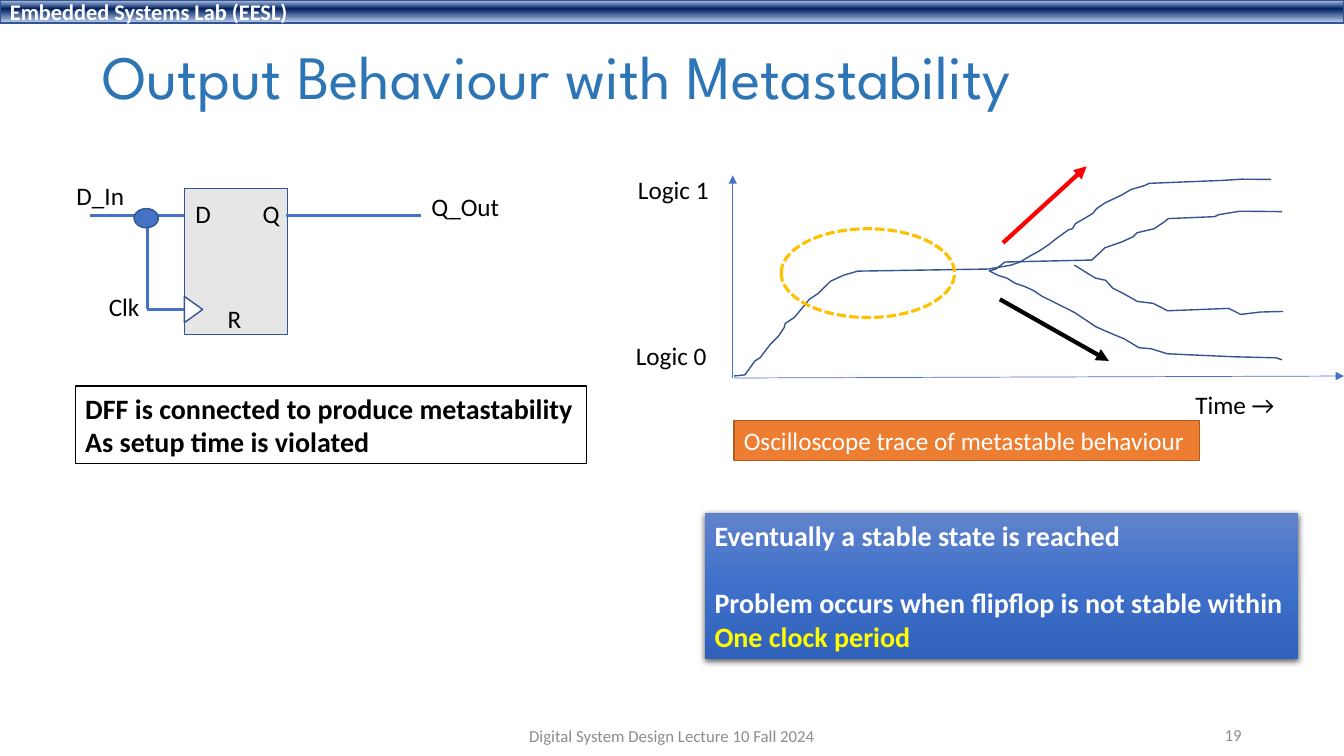
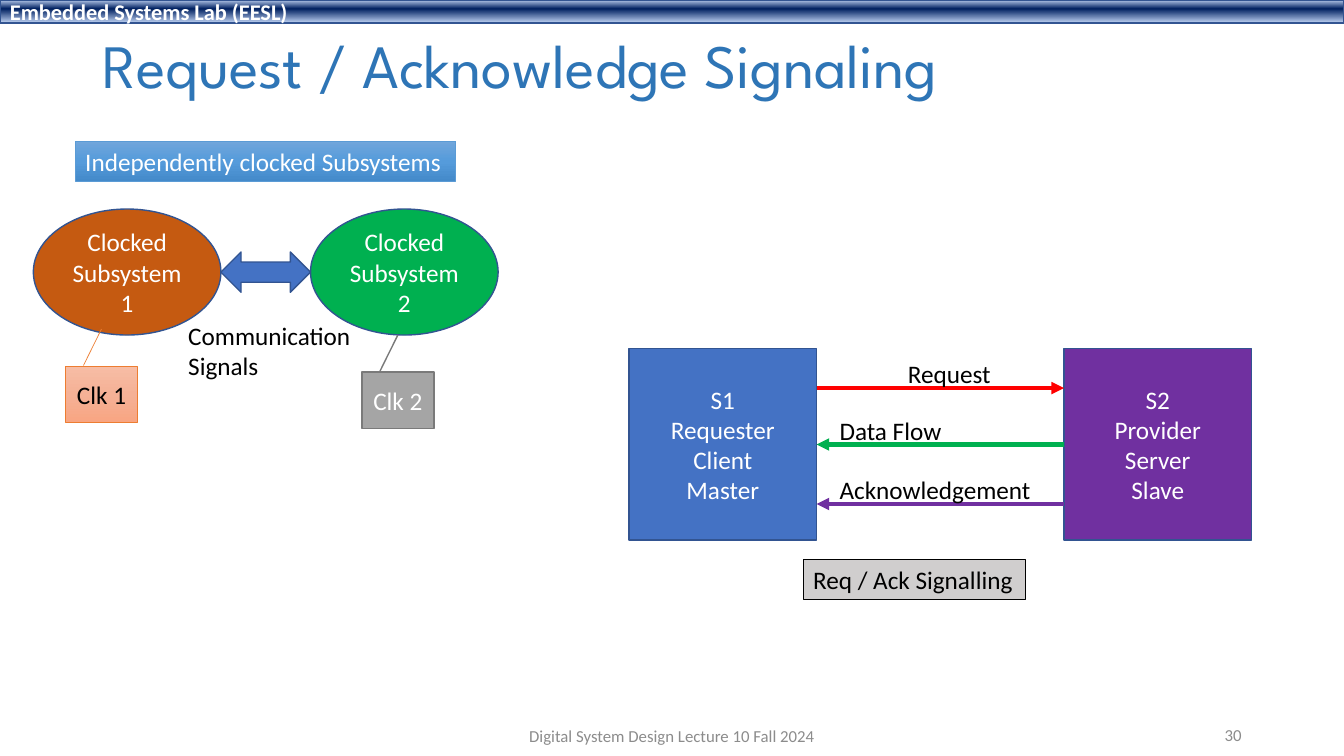
"""Build two lecture slides on metastability and request / acknowledge signaling."""
from copy import deepcopy

from lxml import etree
from pptx import Presentation
from pptx.dml.color import RGBColor
from pptx.enum.dml import MSO_LINE
from pptx.enum.shapes import MSO_CONNECTOR, MSO_SHAPE
from pptx.enum.text import MSO_ANCHOR, MSO_AUTO_SIZE, PP_ALIGN
from pptx.oxml.ns import qn
from pptx.util import Pt

RECT, ELLIPSE = MSO_SHAPE.RECTANGLE, MSO_SHAPE.OVAL
TRIANGLE, CALLOUT = MSO_SHAPE.ISOSCELES_TRIANGLE, MSO_SHAPE.LINE_CALLOUT_1
DOUBLE_ARROW = MSO_SHAPE.LEFT_RIGHT_ARROW
STRAIGHT = MSO_CONNECTOR.STRAIGHT
SHORT_DASH = MSO_LINE.SQUARE_DOT
LEFT, CENTER, RIGHT = PP_ALIGN.LEFT, PP_ALIGN.CENTER, PP_ALIGN.RIGHT
TOP, MIDDLE = MSO_ANCHOR.TOP, MSO_ANCHOR.MIDDLE
GROW, NO_FIT = MSO_AUTO_SIZE.SHAPE_TO_FIT_TEXT, MSO_AUTO_SIZE.NONE

FONT, TITLE_FONT = "Calibri", "League Spartan"
COLORS = {
    "black": "000000", "white": "FFFFFF", "title": "2E75B6", "footer": "8C8C8C",
    "blue": "4472C4", "outline": "325491", "light": "E7E6E6", "silver": "D0CECE",
    "red": "FF0000", "yellow": "FFFF00", "gold": "FFC000", "green": "00B050",
    "purple": "7030A0", "rust": "C55A11", "orange": "ED7D31", "brown": "AF5C24",
    "sky": "5B9BD5", "gray": "A5A5A5", "dark gray": "7A7A7A",
    "band edge": "ABC0E4", "band middle": "002060",
    "note top": "6183CB", "note middle": "3E70CA", "note bottom": "3062BB",
    "sky top": "71A6DB", "sky middle": "559BDB", "sky bottom": "448ACA",
    "peach top": "F7BDA5", "peach middle": "F5B196", "peach bottom": "F8A582",
}
RGB = {name: RGBColor.from_string(value) for name, value in COLORS.items()}


def add_box(s, kind, box, text="", fill=None, line=None, width=1, size=18,
            color="black", bold=False, align=LEFT, grow=False):
    """Add a shape, or a text box when kind is None; a list fill is a gradient."""
    box = [Pt(v) for v in box]
    sp = s.shapes.add_shape(kind, *box) if kind else s.shapes.add_textbox(*box)
    if isinstance(fill, list):
        sp.fill.gradient()
        sp.fill.gradient_angle = 270
        stops = next(sp._element.iter(qn("a:gsLst")))
        stops.append(deepcopy(stops[0]))
        for stop, (position, name) in zip(sp.fill.gradient_stops, fill):
            stop.position = position
            stop.color.rgb = RGB[name]
    elif fill:
        sp.fill.solid()
        sp.fill.fore_color.rgb = RGB[fill]
    else:
        sp.fill.background()
    if line:
        sp.line.color.rgb = RGB[line]
        sp.line.width = Pt(width)
    else:
        sp.line.fill.background()
    if kind:
        sp.shadow.inherit = False
    if text:
        tf = sp.text_frame
        tf.text = text
        tf.word_wrap = not grow
        tf.auto_size = GROW if grow else NO_FIT
        tf.vertical_anchor = TOP if grow else MIDDLE
        for p in tf.paragraphs:
            p.alignment = align
            for r in p.runs:
                r.font.name, r.font.size, r.font.bold = FONT, Pt(size), bold
                r.font.color.rgb = RGB[color]
    return sp


def add_line(s, ends, color="blue", width=2.25, arrow=False):
    """Add a straight connector, with an arrowhead at its end if asked."""
    cx = s.shapes.add_connector(STRAIGHT, *[Pt(v) for v in ends])
    cx.line.color.rgb = RGB[color]
    cx.line.width = Pt(width)
    if arrow:
        etree.SubElement(cx.line._get_or_add_ln(), qn("a:tailEnd"), type="triangle")
    etree.SubElement(cx._element.spPr, qn("a:effectLst"))


prs = Presentation()
prs.slide_width, prs.slide_height = Pt(960), Pt(540)

slides = []
for title, top, height, number in [
    ("Output Behaviour with Metastability", 23, 67, "19"),
    ("Request / Acknowledge Signaling", 10.8, 76.3, "30"),
]:
    s = prs.slides.add_slide(prs.slide_layouts[5])
    add_box(s, RECT, (0, 0, 960, 16.6), "Embedded Systems Lab (EESL)",
            fill=[(0.02, "band edge"), (0.38, "band middle"), (0.93, "band edge")],
            line="outline", size=16, color="white", bold=True)
    sp = s.shapes.title
    sp.left, sp.top, sp.width, sp.height = Pt(66), Pt(top), Pt(828), Pt(height)
    tf = sp.text_frame
    tf.text = title
    tf.auto_size = NO_FIT
    tf.vertical_anchor = MIDDLE
    p = tf.paragraphs[0]
    p.alignment, p.line_spacing = LEFT, 0.9
    r = p.runs[0]
    r.font.name, r.font.size = TITLE_FONT, Pt(44)
    r.font.color.rgb = RGB["title"]
    add_box(s, None, (318, 511, 324, 28.8), "Digital System Design Lecture 10 Fall 2024",
            size=12, color="footer", align=CENTER)
    add_box(s, None, (678, 510.5, 216, 28.8), number, size=12, color="footer", align=RIGHT)
    slides.append(s)

s = slides[0]
add_box(s, RECT, (131.8, 134.6, 73.4, 104.4), fill="light", line="outline")
sp = add_box(s, TRIANGLE, (128.9, 214.6, 18.7, 13), fill="white", line="outline")
sp.rotation = 90
for ends in [(64, 154.1, 131.8, 154.1), (131.8, 221, 105.1, 221),
             (204.5, 154.1, 301, 154.1), (105.1, 221, 105.1, 154.1)]:
    add_line(s, ends)
add_box(s, ELLIPSE, (95.8, 149, 17.3, 13.7), fill="blue", line="outline")
for text, x, y, w in [
    ("D_In", 47.5, 125.3, 49), ("Clk", 70.6, 204.5, 36.7), ("Q_Out", 301, 133.2, 63.4),
    ("D", 132.5, 138.2, 25.5), ("Q", 180.5, 138.2, 26.3), ("R", 155.5, 213.1, 24.5),
    ("Logic 1", 448.6, 121, 65.5), ("Logic 0", 447.1, 239.8, 65.5),
    ("Time →", 846.7, 274.3, 72),
]:
    add_box(s, None, (x, y, w, 28.8), text, grow=True)

add_line(s, (523.4, 270, 523.4, 125.3), width=0.5, arrow=True)
add_line(s, (524.2, 270, 960, 268.6), width=0.5, arrow=True)
traces = [
    [(524.2, 268.6), (532.1, 267.8), (539.3, 257.8), (542.9, 255.6), (550.1, 246.2),
     (555.8, 240.5), (560.2, 234), (560.9, 231.1), (567.4, 226.8), (578.2, 213.8),
     (584.6, 209.5), (593.3, 200.9), (602.6, 196.6), (612.7, 193.7), (706.3, 192.2),
     (722.2, 189.4), (728.6, 187.2), (735.8, 182.9), (742.3, 179.3), (748.8, 175),
     (755.3, 169.9), (763.2, 164.2), (766.1, 163.4), (768.2, 159.8), (780.5, 152.6),
     (783.4, 149), (789.8, 144.7), (800.6, 139.7), (807.8, 135.4), (817.9, 132.5),
     (820.8, 131), (873.4, 128.9), (887, 128), (907.9, 128.2)],
    [(706.3, 193.7), (711.4, 192.2), (717.8, 187.2), (779.8, 185.8), (786.2, 180),
     (789.1, 177.1), (801.4, 172.8), (809.3, 169.2), (812.2, 166.3), (824.4, 163.4),
     (830.9, 159.1), (834.5, 156.2), (867.6, 154.8), (870.5, 153.4), (885.6, 150.9),
     (915.8, 151.2)],
    [(767.5, 189.4), (779, 196.6), (782.6, 198.7), (789.8, 200.2), (794.9, 205.9),
     (802.1, 209.5), (808.6, 213.1), (812.2, 215.3), (823.7, 216.7), (834, 222),
     (877.7, 220.3), (886.3, 224.6), (900, 222.9), (916.6, 222.5)],
    [(707, 193.7), (712.8, 196.6), (719.3, 198.7), (725, 202.3), (731.5, 204.5),
     (738, 207.4), (744.5, 211.7), (754.6, 216.7), (767.5, 223.2), (774, 227.5),
     (782.6, 233.3), (789.1, 236.2), (799.2, 240.5), (802.8, 241.9), (810, 246.2),
     (813.6, 248.4), (822.2, 249.1), (833.8, 252.7), (848.9, 253.4), (882, 254.9),
     (911.5, 255.6), (915.8, 257)],
]
for trace in traces:
    points = [(x * 10, y * 10) for x, y in trace]
    builder = s.shapes.build_freeform(*points[0], scale=Pt(0.1))
    builder.add_line_segments(points[1:], close=False)
    sp = builder.convert_to_shape()
    sp.shadow.inherit = False
    sp.fill.background()
    sp.line.color.rgb = RGB["outline"]
    sp.line.width = Pt(1)
add_line(s, (716.4, 173.5, 776.2, 118.8), "red", 3, arrow=True)
add_line(s, (714.2, 213.8, 792, 257.8), "black", 3, arrow=True)
sp = add_box(s, ELLIPSE, (558, 163.4, 123.8, 63.4), line="gold", width=2.25)
sp.line.dash_style = SHORT_DASH

add_box(s, RECT, (524.2, 300.2, 332.6, 28.8), "Oscilloscope trace of metastable behaviour",
        fill="orange", line="brown", color="white", grow=True)
add_box(s, RECT, (53.8, 275.8, 365, 55.4),
        "DFF is connected to produce metastability\nAs setup time is violated",
        fill="white", line="black", size=20, bold=True, grow=True)
note = add_box(s, RECT, (503.3, 366.5, 424.1, 104.4),
               "Eventually a stable state is reached\n"
               "Problem occurs when flipflop is not stable within\nOne clock period",
               fill=[(0, "note top"), (0.5, "note middle"), (1, "note bottom")],
               size=20, color="white", bold=True, grow=True)
paragraphs = note.text_frame.paragraphs
paragraphs[1].space_before = Pt(24.4)
paragraphs[2].runs[0].font.color.rgb = RGB["yellow"]
shadow = etree.SubElement(note._element.spPr.find(qn("a:effectLst")), qn("a:outerShdw"),
                          blurRad=str(Pt(4.5)), dist=str(Pt(1.5)), dir="5400000",
                          algn="ctr", rotWithShape="0")
shadow_color = etree.SubElement(shadow, qn("a:srgbClr"), val=COLORS["black"])
etree.SubElement(shadow_color, qn("a:alpha"), val="63000")

s = slides[1]
add_box(s, RECT, (53.8, 100.8, 271.8, 28.8), "Independently clocked Subsystems",
        fill=[(0, "sky top"), (0.5, "sky middle"), (1, "sky bottom")],
        line="sky", width=0.5, color="white", grow=True)
for number, x, fill in [(1, 23.8, "rust"), (2, 221.8, "green")]:
    add_box(s, ELLIPSE, (x, 149.3, 134, 90), f"Clocked\nSubsystem {number}",
            fill=fill, line="outline", color="white", align=CENTER)
add_box(s, DOUBLE_ARROW, (157.8, 180, 64, 28.8), fill="blue", line="outline")
add_box(s, None, (127.4, 225.4, 131.8, 51), "Communication\nSignals", grow=True)
peach = [(0, "peach top"), (0.5, "peach middle"), (1, "peach bottom")]
for text, x, y, fill, line, width, color in [
    ("Clk 1", 46.8, 261.4, peach, "orange", 0.5, "black"),
    ("Clk 2", 258.5, 265.7, "gray", "dark gray", 1, "white"),
]:
    sp = add_box(s, CALLOUT, (x, y, 51.4, 40.6), text, fill=fill, line=line,
                 width=width, color=color, align=CENTER)
    for i, value in enumerate([-0.01, 0.25, -0.65, 0.5]):
        sp.adjustments[i] = value

for text, x, fill in [("S1\nRequester Client\nMaster", 449.3, "blue"),
                      ("S2\nProvider\nServer\nSlave", 760, "purple")]:
    add_box(s, RECT, (x, 249.1, 134, 136.8), text, fill=fill, line="outline",
            color="white", align=CENTER)
for text, x, w, y, start, end, color in [
    ("Request", 641.5, 74.2, 277.2, 583.3, 760, "red"),
    ("Data Flow", 592.6, 87.8, 317.5, 760, 583.3, "green"),
    ("Acknowledgement", 592.6, 152.6, 360, 760, 583.3, "purple"),
]:
    add_line(s, (start, y, end, y), color, 3, arrow=True)
    add_box(s, None, (x, y - 24.5, w, 28.8), text, grow=True)
add_box(s, RECT, (573.8, 399.6, 158.4, 28.8), "Req / Ack Signalling",
        fill="silver", line="black", width=0.5, grow=True)

prs.save("out.pptx")
